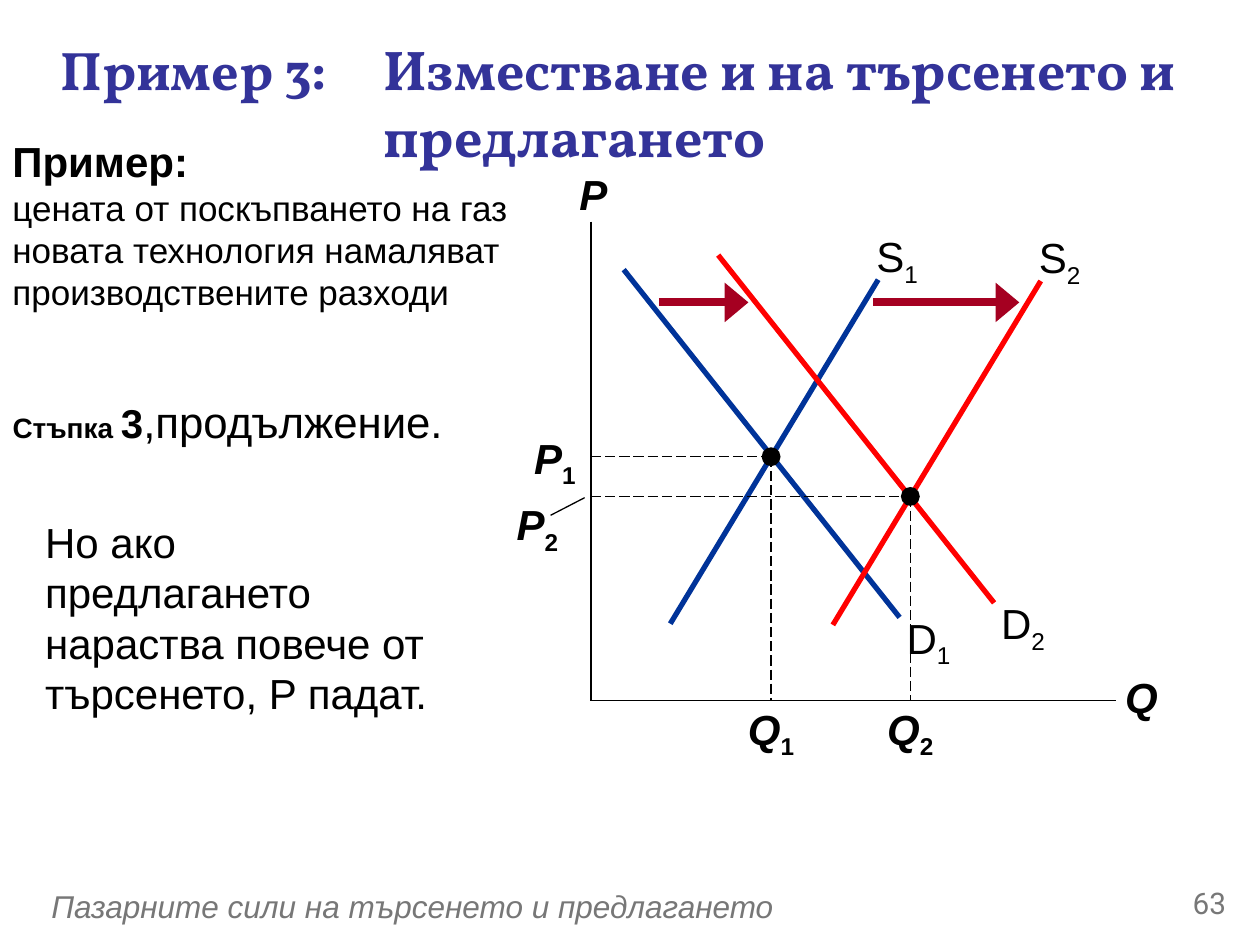
import pptx
import pptx.util
import pptx.dml.color
import pptx.enum.dml
import pptx.enum.shapes
import pptx.enum.text
import pptx.oxml.ns
import lxml.etree

COLUMNS, ROWS = 100, 75
ORIGIN = (46.9, 55.6)
BLACK, GREY, BLUE, RED, CRIMSON, INDIGO = (
    "000000", "777777", "003399", "FF0000", "A50021", "333399")
ALIGN = pptx.enum.text.PP_ALIGN
ANCHOR = pptx.enum.text.MSO_ANCHOR


def grid(cells):
    return pptx.util.Inches(cells / 10)


def color(value):
    return pptx.dml.color.RGBColor.from_string(value)


def apply(target, values):
    for name, value in values.items():
        setattr(target, name, value)


def add_child(parent, tag, **attributes):
    return lxml.etree.SubElement(parent, pptx.oxml.ns.qn(tag), attributes)


def add_span(para, text, size, ink=BLACK, name="Arial", subscript=False, **style):
    span = para.add_run()
    span.text = text
    apply(span.font, {"size": pptx.util.Pt(size), "name": name, **style})
    span.font.color.rgb = color(ink)
    if subscript:
        span.font._element.set("baseline", "-25000")
    return span


def place(box, left, top, width, height):
    apply(box, {"left": grid(left), "top": grid(top),
                "width": grid(width), "height": grid(height)})


def add_text(page, left, top, width, height, align=ALIGN.LEFT, **frame):
    box = page.shapes.add_textbox(*map(grid, (left, top, width, height)))
    apply(box.text_frame, {"word_wrap": True, **frame})
    para = box.text_frame.paragraphs[0]
    para.alignment = align
    return para


def add_label(page, center, top, letter, index="", **style):
    width = 6
    margins = dict.fromkeys(
        ("margin_left", "margin_right", "margin_top", "margin_bottom"), 0)
    para = add_text(page, center - width / 2, top, width, 4, ALIGN.CENTER, **margins)
    add_span(para, letter, 24, **style)
    if index:
        add_span(para, index, 24, subscript=True, **{**style, "italic": False})


def add_line(page, start, end, ink=BLACK, width=1, dashed=False, arrow=False):
    line = page.shapes.add_connector(
        pptx.enum.shapes.MSO_CONNECTOR.STRAIGHT, *map(grid, start + end))
    line.line.color.rgb = color(ink)
    line.line.width = pptx.util.Pt(width)
    if dashed:
        line.line.dash_style = pptx.enum.dml.MSO_LINE.LONG_DASH
    properties = line._element.spPr
    if arrow:
        outline = properties.find(pptx.oxml.ns.qn("a:ln"))
        add_child(outline, "a:tailEnd", type="triangle", w="lg", len="med")
    add_child(properties, "a:effectLst")


def add_curve(page, start, end, shift, ink, letter, index, offset):
    start, end = (tuple(a + b for a, b in zip(point, shift)) for point in (start, end))
    add_line(page, start, end, ink, 3)
    add_label(page, end[0] + offset[0], end[1] + offset[1], letter, index)


def add_equilibrium(page, x, y, index, price_label):
    radius = 0.75
    add_label(page, *price_label, "P", index, bold=True, italic=True)
    dot = page.shapes.add_shape(
        pptx.enum.shapes.MSO_SHAPE.OVAL,
        *map(grid, (x - radius, y - radius, 2 * radius, 2 * radius)))
    dot.shadow.inherit = False
    dot.fill.solid()
    dot.fill.fore_color.rgb = color(BLACK)
    dot.line.fill.background()
    add_line(page, (ORIGIN[0], y), (x, y), width=0.75, dashed=True)
    add_line(page, (x, y), (x, ORIGIN[1]), width=0.75, dashed=True)
    add_label(page, x, ORIGIN[1] + 0.2, "Q", index, bold=True, italic=True)


def add_title(page):
    title = page.shapes.title
    place(title, 3.8, 1.8, 91.3, 12.5)
    apply(title.text_frame, {"vertical_anchor": ANCHOR.MIDDLE,
                             "auto_size": pptx.enum.text.MSO_AUTO_SIZE.NONE})
    para = title.text_frame.paragraphs[0]
    para.alignment = ALIGN.LEFT
    indent = grid(25.6)
    apply_indent(para, indent, -indent)
    style = {"ink": INDIGO, "name": "Vollkorn", "bold": True}
    add_span(para, "Пример 3:", 31, **style)
    add_span(para, "\tИзместване и на търсенето и предлагането", 32, **style)


def apply_indent(para, margin, indent):
    properties = para._p.get_or_add_pPr()
    properties.set("marL", str(margin))
    properties.set("indent", str(indent))
    add_child(properties, "a:buNone")


def add_step(page):
    body = page.placeholders[1]
    place(body, 0, 30.6, 40, 5.5)
    body.text_frame.auto_size = pptx.enum.text.MSO_AUTO_SIZE.NONE
    para = body.text_frame.paragraphs[0]
    apply_indent(para, 0, 0)
    apply(para, {"line_spacing": 1.05, "space_before": pptx.util.Pt(0)})
    add_span(para, "Стъпка ", 16, bold=True)
    add_span(para, "3", 23, bold=True)
    add_span(para, ",продължение.", 25)


def add_notes_column(page):
    para = add_text(page, 0, 10.3, 47.1, 18)
    add_span(para, "Пример:", 24, bold=True)
    para.add_line_break()
    add_span(para, "цената от поскъпването на газ новата технология "
                   "намаляват производствените разходи", 20)
    para = add_text(page, 2.6, 40.5, 34.3, 17.2)
    add_span(para, "Но ако предлагането нараства повече от търсенето, P падат.", 24)


def add_footer(page):
    para = add_text(page, 3.1, 69.9, 80.2, 4, vertical_anchor=ANCHOR.MIDDLE)
    add_span(para, "Пазарните сили на търсенето и предлагането", 18, GREY, italic=True)
    para = add_text(page, 90.8, 69.7, 7.5, 4, ALIGN.RIGHT)
    add_span(para, "63", 17, GREY, "Roboto")


def add_diagram(page):
    add_line(page, (ORIGIN[0], 17.6), ORIGIN)
    add_line(page, ORIGIN, (88.6, ORIGIN[1]))
    add_label(page, 47.1, 13.4, "P", bold=True, italic=True)
    add_label(page, 90.6, 53.3, "Q", bold=True, italic=True)
    demand = (49.5, 21.4), (71.4, 49)
    supply = (53.2, 49.5), (69.7, 22.2)
    for index, ink, demand_shift, supply_shift in (
            ("1", BLUE, (0, 0), (0, 0)),
            ("2", RED, (7.5, -1.15), (12.9, 0.1))):
        add_curve(page, *demand, demand_shift, ink, "D", index, (2.3, -0.4))
        add_curve(page, *supply, supply_shift, ink, "S", index, (1.5, -3.9))
    for left, right in ((69.3, 80.9), (52.3, 59.4)):
        add_line(page, (left, 24), (right, 24), CRIMSON, 4.5, arrow=True)
    add_equilibrium(page, 61.2, 36.25, "1", (44.05, 34.3))
    add_equilibrium(page, 72.25, 39.4, "2", (42.65, 39.6))
    add_line(page, (46.4, 39.5), (43.7, 40.9), width=0.75)


def main():
    deck = pptx.Presentation()
    apply(deck, {"slide_width": grid(COLUMNS), "slide_height": grid(ROWS)})
    page = deck.slides.add_slide(deck.slide_layouts[1])
    add_footer(page)
    add_title(page)
    add_step(page)
    add_diagram(page)
    add_notes_column(page)
    deck.save("out.pptx")


if __name__ == "__main__":
    main()
